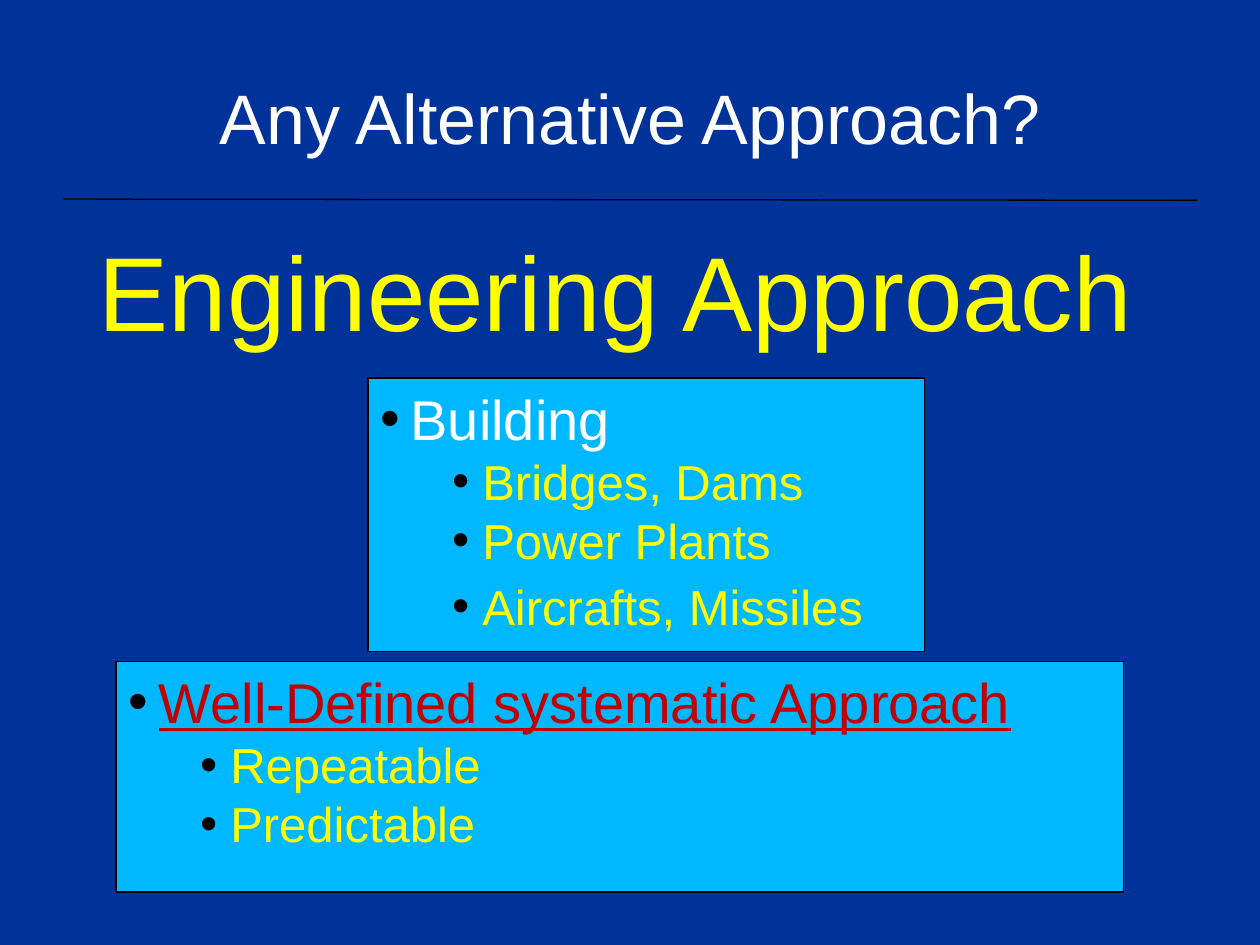
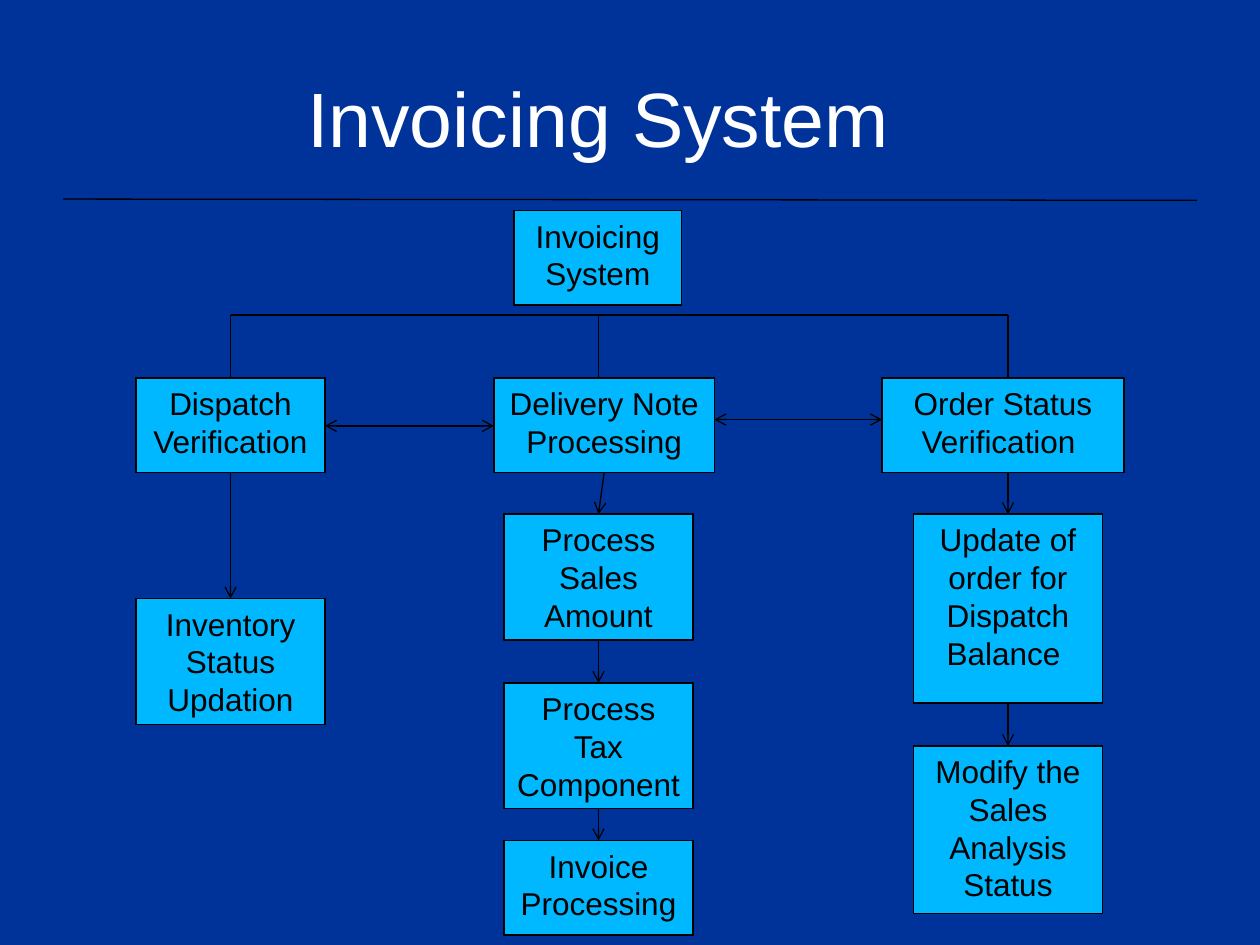
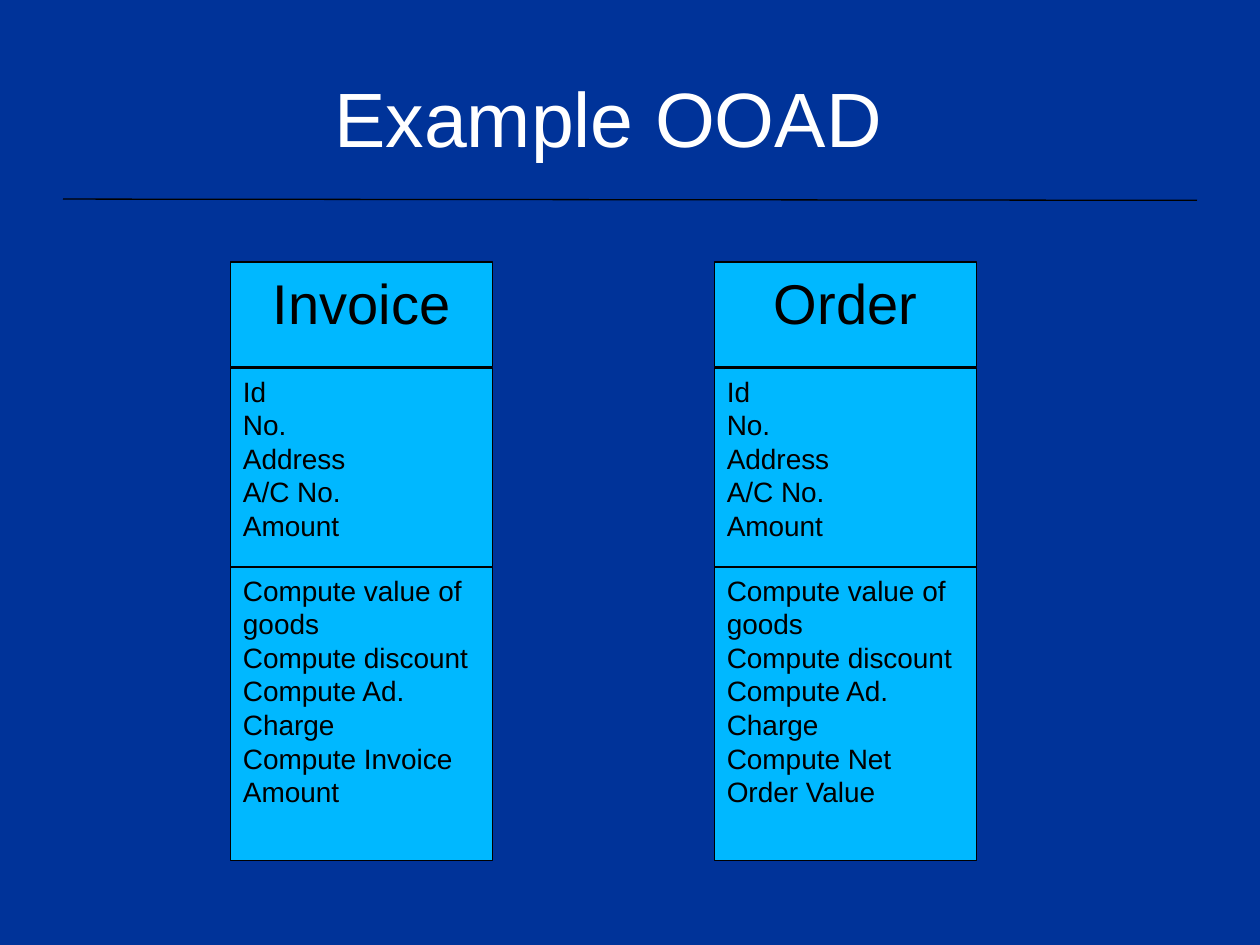
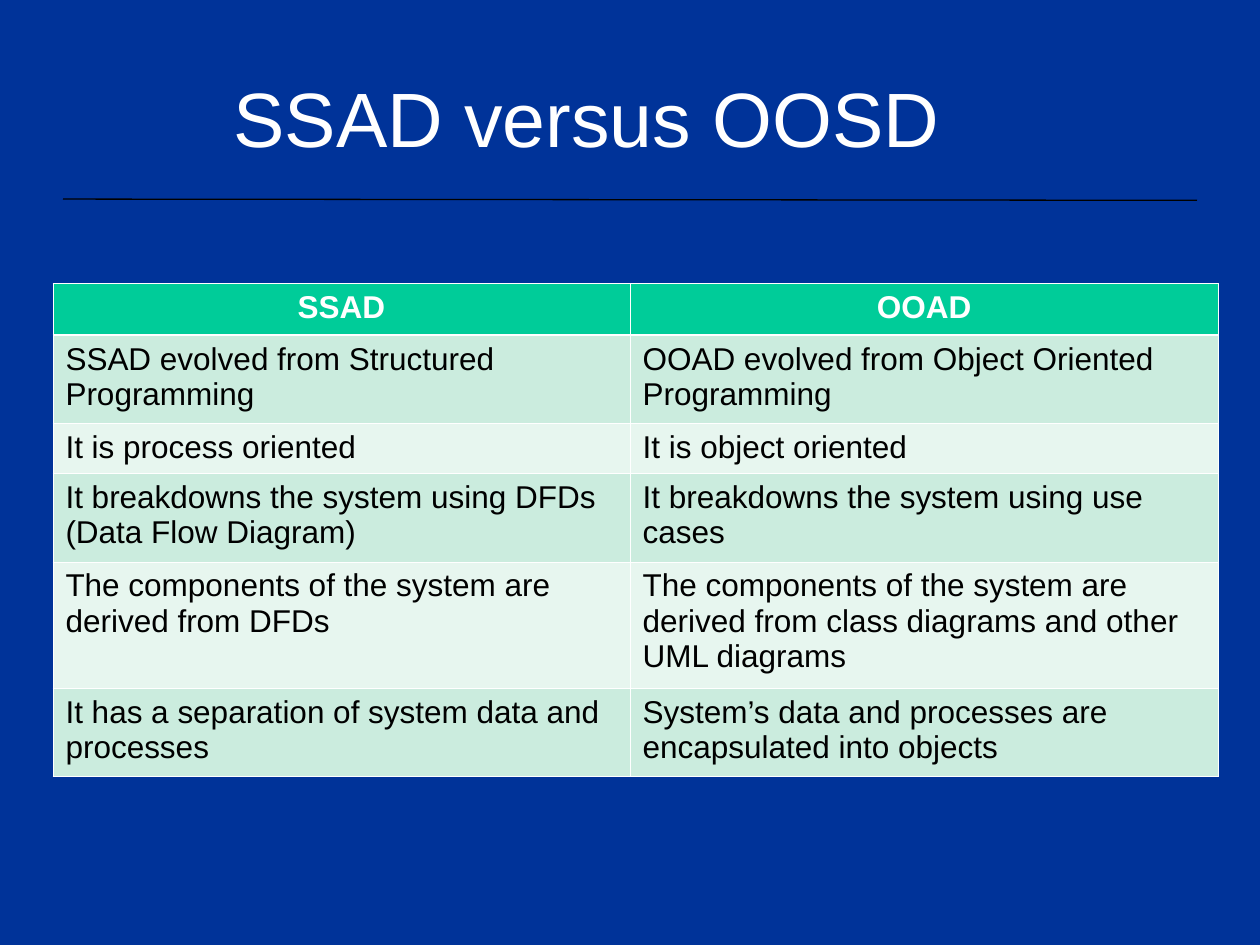
import dataclasses
import itertools

import lxml.etree
import pptx
import pptx.dml.color
import pptx.enum.shapes
import pptx.enum.text
import pptx.oxml.ns
import pptx.presentation
import pptx.slide
import pptx.table
import pptx.text.text
import pptx.util

Inches = pptx.util.Inches
Pt = pptx.util.Pt
Align = pptx.enum.text.PP_ALIGN
Anchor = pptx.enum.text.MSO_ANCHOR
qn = pptx.oxml.ns.qn

FONT = "Arial"
COLORS = {
    "background": "003399",
    "box": "00B8FF",
    "black": "000000",
    "white": "FFFFFF",
    "yellow": "FFFF00",
    "red": "C00000",
    "header": "00CC99",
    "band_dark": "CBECDE",
    "band_light": "E7F6EF",
}
LINE_WIDTH = Pt(0.75)
BULLET_HANG = 0.24


@dataclasses.dataclass(frozen=True)
class Line:
    """One paragraph of text and its look."""
    text: str
    size: float = 18
    color: str = "black"
    align: Align = Align.LEFT
    bold: bool = False
    underline: bool = False
    bullet_indent: float | None = None
    space_before: float = 0


@dataclasses.dataclass(frozen=True)
class Box:
    left: float
    top: float
    width: float
    height: float
    lines: tuple[Line, ...]

    @property
    def right(self) -> float:
        return self.left + self.width

    @property
    def bottom(self) -> float:
        return self.top + self.height

    @property
    def center(self) -> float:
        return self.left + self.width / 2


def rgb(name: str) -> pptx.dml.color.RGBColor:
    return pptx.dml.color.RGBColor.from_string(COLORS[name])


def add_bullet(paragraph: pptx.text.text._Paragraph, indent: float) -> None:
    properties = paragraph._p.get_or_add_pPr()
    properties.set("marL", str(Inches(indent)))
    properties.set("indent", str(Inches(-BULLET_HANG)))
    color = lxml.etree.SubElement(properties, qn("a:buClr"))
    lxml.etree.SubElement(color, qn("a:srgbClr"), val=COLORS["black"])
    lxml.etree.SubElement(properties, qn("a:buFont"), typeface=FONT)
    lxml.etree.SubElement(properties, qn("a:buChar"), char="•")


def write_lines(text_frame: pptx.text.text.TextFrame, lines: tuple[Line, ...]) -> None:
    text_frame.word_wrap = True
    text_frame.text = "\n".join(line.text for line in lines)
    for paragraph, line in zip(text_frame.paragraphs, lines):
        paragraph.alignment = line.align
        if line.bullet_indent is not None:
            add_bullet(paragraph, line.bullet_indent)
        if line.space_before:
            paragraph.space_before = Pt(line.space_before)
        for run in paragraph.runs:
            run.font.name = FONT
            run.font.size = Pt(line.size)
            run.font.bold = line.bold
            run.font.underline = line.underline
            run.font.color.rgb = rgb(line.color)


def add_text(slide: pptx.slide.Slide, box: Box, anchor: Anchor = Anchor.TOP,
             margin_right: float = 0.1) -> None:
    shape = slide.shapes.add_textbox(
        Inches(box.left), Inches(box.top), Inches(box.width), Inches(box.height))
    text_frame = shape.text_frame
    text_frame.vertical_anchor = anchor
    text_frame.margin_right = Inches(margin_right)
    write_lines(text_frame, box.lines)


def add_box(slide: pptx.slide.Slide, box: Box) -> None:
    shape = slide.shapes.add_shape(
        pptx.enum.shapes.MSO_SHAPE.RECTANGLE,
        Inches(box.left), Inches(box.top), Inches(box.width), Inches(box.height))
    shape.shadow.inherit = False
    shape.fill.solid()
    shape.fill.fore_color.rgb = rgb("box")
    shape.line.color.rgb = rgb("black")
    shape.line.width = LINE_WIDTH
    shape.text_frame.vertical_anchor = Anchor.TOP
    write_lines(shape.text_frame, box.lines)


def add_line(slide: pptx.slide.Slide, start: tuple[float, float], end: tuple[float, float],
             arrows: tuple[str, ...] = ()) -> None:
    """Draw a straight line; arrows may hold "headEnd" and "tailEnd", in that order."""
    connector = slide.shapes.add_connector(
        pptx.enum.shapes.MSO_CONNECTOR.STRAIGHT,
        *(Inches(value) for value in start + end))
    connector.line.color.rgb = rgb("black")
    connector.line.width = LINE_WIDTH
    properties = connector._element.spPr
    for arrow in arrows:
        lxml.etree.SubElement(properties.find(qn("a:ln")), qn(f"a:{arrow}"), type="arrow")
    lxml.etree.SubElement(properties, qn("a:effectLst"))


def add_titled_slide(presentation: pptx.presentation.Presentation, title: str,
                     size: float = 44, shift: float = 0) -> pptx.slide.Slide:
    """Add a slide with title and rule; shift moves the centred title to the left."""
    slide = presentation.slides.add_slide(presentation.slide_layouts[6])
    add_line(slide, (0.5, 1.58), (9.5, 1.59))
    title_line = Line(title, size, "white", Align.CENTER)
    add_text(slide, Box(0.5, 0.3, 9, 1.25, (title_line,)), Anchor.MIDDLE,
             margin_right=0.1 + 2 * shift)
    return slide


def build_approach(presentation: pptx.presentation.Presentation) -> None:
    slide = add_titled_slide(presentation, "Any Alternative Approach?", size=40)
    headline = Line("Engineering Approach", 60, "yellow", Align.CENTER)
    add_text(slide, Box(0.5, 1.75, 9, 1.33, (headline,)), margin_right=0.33)

    def detail(text: str, space_before: float = 0) -> Line:
        return Line(text, 28, "yellow", bullet_indent=0.81, space_before=space_before)

    add_box(slide, Box(2.92, 3, 4.42, 2.17, (
        Line("Building", 32, "white", bullet_indent=BULLET_HANG),
        detail("Bridges, Dams"),
        detail("Power Plants"),
        detail("Aircrafts, Missiles", space_before=4),
    )))
    add_box(slide, Box(0.92, 5.25, 8, 1.83, (
        Line("Well-Defined systematic Approach", 32, "red", underline=True,
             bullet_indent=BULLET_HANG),
        detail("Repeatable"),
        detail("Predictable"),
    )))


def build_invoicing(presentation: pptx.presentation.Presentation) -> None:
    slide = add_titled_slide(presentation, "Invoicing System", shift=0.25)

    def step(left: float, top: float, width: float, height: float, text: str) -> Box:
        return Box(left, top, width, height, (Line(text, align=Align.CENTER),))

    root = step(4.08, 1.67, 1.33, 0.75, "Invoicing System")
    dispatch_column = [
        step(1.08, 3, 1.5, 0.75, "Dispatch Verification"),
        step(1.08, 4.75, 1.5, 1, "Inventory Status Updation"),
    ]
    delivery_column = [
        step(3.92, 3, 1.75, 0.75, "Delivery Note Processing"),
        step(4, 4.08, 1.5, 1, "Process Sales Amount"),
        step(4, 5.42, 1.5, 1, "Process Tax Component"),
        step(4, 6.67, 1.5, 0.75, "Invoice Processing"),
    ]
    order_column = [
        step(7, 3, 1.92, 0.75, "Order Status Verification "),
        step(7.25, 4.08, 1.5, 1.5, "Update of order for Dispatch Balance "),
        step(7.25, 5.92, 1.5, 1.33, "Modify the Sales Analysis Status"),
    ]
    columns = [dispatch_column, delivery_column, order_column]
    for box in [root, *itertools.chain.from_iterable(columns)]:
        add_box(slide, box)

    branch_top = 2.5
    stems = [column[-1].center for column in columns]
    add_line(slide, (stems[0], branch_top), (stems[-1], branch_top))
    for stem, column in zip(stems, columns):
        add_line(slide, (stem, branch_top), (stem, column[0].top))
        for upper, lower in itertools.pairwise(column):
            start = upper.center if column is delivery_column else stem
            add_line(slide, (start, upper.bottom), (stem, lower.top), ("tailEnd",))

    heads = [column[0] for column in columns]
    for (left, right), level in zip(itertools.pairwise(heads), (3.38, 3.33)):
        add_line(slide, (left.right, level), (right.left, level), ("headEnd", "tailEnd"))


def add_class(slide: pptx.slide.Slide, left: float, name: str, last_method: str) -> None:
    """Draw a class as three stacked boxes: name, attributes, methods."""
    attributes = ("Id", "No.", "Address", "A/C No.", "Amount")
    methods = ("Compute value of goods", "Compute discount", "Compute Ad. Charge", last_method)
    sections = (
        (2.08, 0.83, (Line(name, 32, align=Align.CENTER),)),
        (2.92, 1.58, tuple(Line(text, 16) for text in attributes)),
        (4.5, 2.33, tuple(Line(text, 16) for text in methods)),
    )
    for top, height, lines in sections:
        add_box(slide, Box(left, top, 2.08, height, lines))


def build_classes(presentation: pptx.presentation.Presentation) -> None:
    slide = add_titled_slide(presentation, "Example OOAD", shift=0.17)
    add_class(slide, 1.83, "Invoice", "Compute Invoice Amount")
    add_class(slide, 5.67, "Order", "Compute Net Order Value")


def set_borders(cell: pptx.table._Cell, top: float, bottom: float) -> None:
    """Give the cell white borders; must run before the fill is set."""
    properties = cell._tc.get_or_add_tcPr()
    for side, width in (("lnL", 0.45), ("lnR", 0.45), ("lnT", top), ("lnB", bottom)):
        border = lxml.etree.SubElement(properties, qn(f"a:{side}"), w=str(Pt(width)))
        fill = lxml.etree.SubElement(border, qn("a:solidFill"))
        lxml.etree.SubElement(fill, qn("a:srgbClr"), val=COLORS["white"])


def build_comparison(presentation: pptx.presentation.Presentation) -> None:
    slide = add_titled_slide(presentation, "SSAD versus OOSD", shift=0.34)
    rows = (
        (0.41, "SSAD", "OOAD"),
        (0.7, "SSAD evolved from Structured Programming",
         "OOAD evolved from Object Oriented Programming"),
        (0.4, "It is process oriented", "It is object oriented"),
        (0.7, "It breakdowns the system using DFDs (Data Flow Diagram)",
         "It breakdowns the system using use cases"),
        (1, "The components of the system are derived from DFDs",
         "The components of the system are derived from class diagrams and other UML diagrams"),
        (0.7, "It has a separation of system data and processes",
         "System’s data and processes are encapsulated into objects"),
    )
    widths = (4.58, 4.67)
    table = slide.shapes.add_table(
        len(rows), len(widths), Inches(0.42), Inches(2.25), Inches(9.25), Inches(3.91)).table
    for column, width in zip(table.columns, widths):
        column.width = Inches(width)
    for row_index, (height, *texts) in enumerate(rows):
        table.rows[row_index].height = Inches(height)
        is_header = row_index == 0
        band = "header" if is_header else ("band_light", "band_dark")[row_index % 2]
        for column_index, text in enumerate(texts):
            cell = table.cell(row_index, column_index)
            set_borders(cell, top=1.47 if row_index == 1 else 0.45,
                        bottom=1.47 if is_header else 0.45)
            cell.fill.solid()
            cell.fill.fore_color.rgb = rgb(band)
            line = (Line(text, color="white", align=Align.CENTER, bold=True)
                    if is_header else Line(text))
            write_lines(cell.text_frame, (line,))


def main() -> None:
    presentation = pptx.Presentation()
    presentation.slide_width = Inches(10)
    presentation.slide_height = Inches(7.5)
    background = presentation.slide_master.background.fill
    background.solid()
    background.fore_color.rgb = rgb("background")
    build_approach(presentation)
    build_invoicing(presentation)
    build_classes(presentation)
    build_comparison(presentation)
    presentation.save("out.pptx")


if __name__ == "__main__":
    main()
